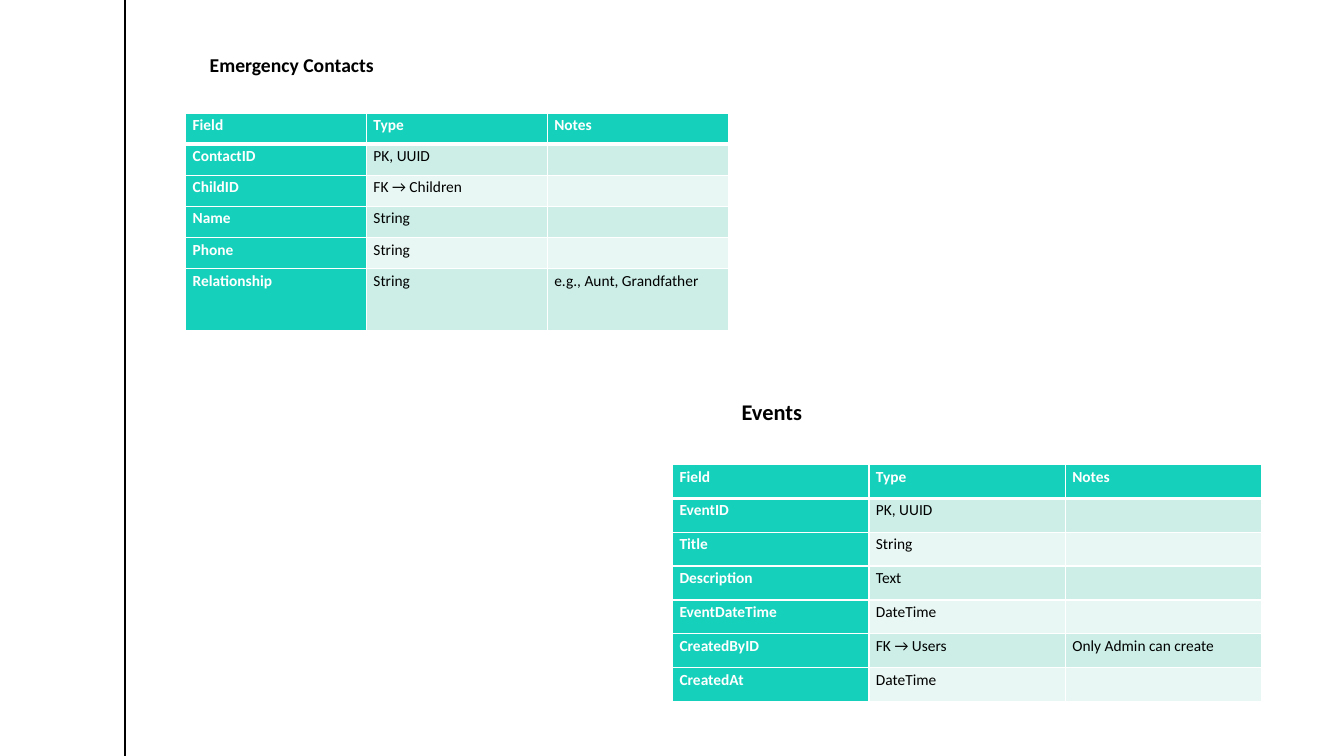
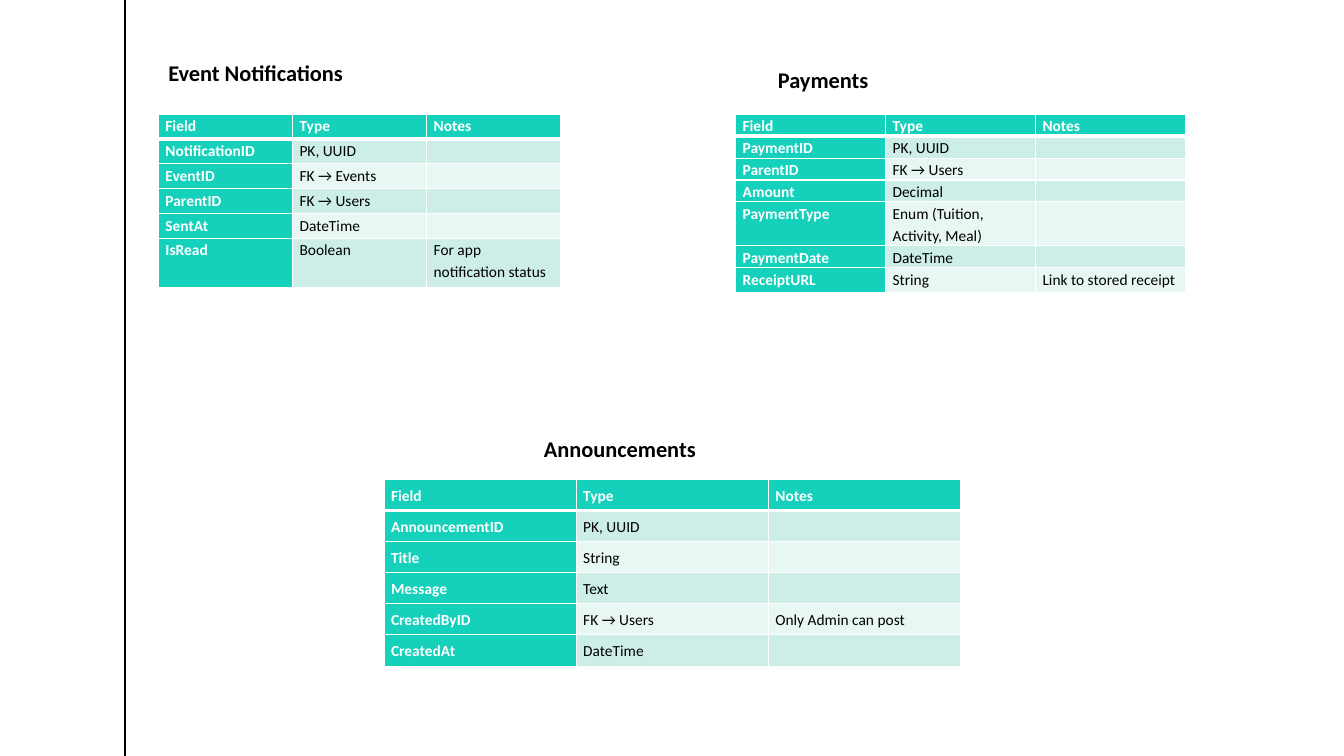
"""Build two slides of database table definitions."""
from dataclasses import dataclass

from lxml.etree import SubElement
from pptx import Presentation
from pptx.dml.color import RGBColor
from pptx.enum.shapes import MSO_CONNECTOR
from pptx.enum.text import MSO_ANCHOR, MSO_AUTO_SIZE, PP_ALIGN
from pptx.oxml.ns import qn
from pptx.oxml.xmlchemy import OxmlElement
from pptx.slide import Slide, SlideLayout
from pptx.text.text import Font
from pptx.util import Pt

COLORS = {
    "black": "000000",
    "white": "FFFFFF",
    "accent": "15D1BB",
    "band_dark": "CCEEE7",
    "band_light": "E8F7F3",
}
FONT_NAME = "Calibri"
CELL_SIZE = 11
HEADER = ("Field", "Type", "Notes")
RULE_LEFT = 89.3


@dataclass(frozen=True)
class Heading:
    text: str
    left: float
    top: float
    width: float
    height: float
    size: float = 16
    inset_top: float = 3.6
    inset_bottom: float = 3.6


@dataclass(frozen=True)
class GridStyle:
    line_spacing: float
    space_after: float
    inset: float
    border: float
    header_border: float


@dataclass(frozen=True)
class Entity:
    heading: Heading
    left: float
    top: float
    column_width: float
    row_heights: list[float]
    fields: list[tuple[str, str, str]]
    style: GridStyle


COMPACT = GridStyle(1.15, 10, 0, 1, 3)
PADDED = GridStyle(Pt(15), 0, 3.6, 0.75, 2.07)

SLIDES = [
    [
        Entity(
            Heading("Emergency Contacts", 142.6, 18.7, 175.7, 61.2, 14, 18, 24),
            132.6, 80.8, 129.2, [22.2] * 5 + [44.4],
            [
                ("ContactID", "PK, UUID", ""),
                ("ChildID", "FK → Children", ""),
                ("Name", "String", ""),
                ("Phone", "String", ""),
                ("Relationship", "String", "e.g., Aunt, Grandfather"),
            ],
            COMPACT,
        ),
        Entity(
            Heading("Events", 522.7, 265, 336.2, 63.4, 16, 18, 24),
            480.4, 331.8, 140.3, [24.2] * 7,
            [
                ("EventID", "PK, UUID", ""),
                ("Title", "String", ""),
                ("Description", "Text", ""),
                ("EventDateTime", "DateTime", ""),
                ("CreatedByID", "FK → Users", "Only Admin can create"),
                ("CreatedAt", "DateTime", ""),
            ],
            COMPACT,
        ),
    ],
    [
        Entity(
            Heading("Event Notifications", 113, 38.2, 277.9, 26.6),
            113.2, 81.7, 95.8, [17.7] * 5 + [35.4],
            [
                ("NotificationID", "PK, UUID", ""),
                ("EventID", "FK → Events", ""),
                ("ParentID", "FK → Users", ""),
                ("SentAt", "DateTime", ""),
                ("IsRead", "Boolean", "For app notification status"),
            ],
            COMPACT,
        ),
        Entity(
            Heading("Payments", 548.6, 43.6, 181.4, 26.6),
            525.5, 81.7, 107.1, [15.4] * 4 + [30.8, 15.4, 17.7],
            [
                ("PaymentID", "PK, UUID", ""),
                ("ParentID", "FK → Users", ""),
                ("Amount", "Decimal", ""),
                ("PaymentType", "Enum (Tuition, Activity, Meal)", ""),
                ("PaymentDate", "DateTime", ""),
                ("ReceiptURL", "String", "Link to stored receipt"),
            ],
            COMPACT,
        ),
        Entity(
            Heading("Announcements", 381.4, 306.7, 223.9, 27.4),
            274.3, 342.4, 137.3, [22.2] * 6,
            [
                ("AnnouncementID", "PK, UUID", ""),
                ("Title", "String", ""),
                ("Message", "Text", ""),
                ("CreatedByID", "FK → Users", "Only Admin can post"),
                ("CreatedAt", "DateTime", ""),
            ],
            PADDED,
        ),
    ],
]


def apply_format(target: object, values: dict[str, object]) -> None:
    """Set every attribute named in the dict."""
    for name, value in values.items():
        setattr(target, name, value)


def format_font(font: Font, size: float, color: str, bold: bool) -> None:
    """Give text the shared typeface."""
    apply_format(font, {"name": FONT_NAME, "size": Pt(size), "bold": bold})
    font.color.rgb = RGBColor.from_string(COLORS[color])


def add_layout_rule(slide: Slide, layout: SlideLayout, height: int) -> None:
    """Draw the vertical rule and move it to the shared layout."""
    rule = slide.shapes.add_connector(
        MSO_CONNECTOR.STRAIGHT, Pt(RULE_LEFT), 0, Pt(RULE_LEFT), height
    )
    rule.line.width = Pt(1)
    rule.line.color.rgb = RGBColor.from_string(COLORS["black"])
    rule.element.spPr.append(OxmlElement("a:effectLst"))
    rule.element.xpath(".//p:cNvPr")[0].set("id", "20")
    layout.shapes.element.append(rule.element)


def add_heading(slide: Slide, heading: Heading, is_title: bool) -> None:
    """Write a heading in the title placeholder or a text box."""
    box = {
        "left": Pt(heading.left),
        "top": Pt(heading.top),
        "width": Pt(heading.width),
        "height": Pt(heading.height),
    }
    shape = slide.shapes.title if is_title else slide.shapes.add_textbox(*box.values())
    apply_format(shape, box)
    apply_format(shape.text_frame, {
        "text": heading.text,
        "word_wrap": True,
        "auto_size": MSO_AUTO_SIZE.NONE,
        "vertical_anchor": MSO_ANCHOR.MIDDLE,
        "margin_left": Pt(7.2),
        "margin_right": Pt(7.2),
        "margin_top": Pt(heading.inset_top),
        "margin_bottom": Pt(heading.inset_bottom),
    })
    paragraph = shape.text_frame.paragraphs[0]
    paragraph.alignment = PP_ALIGN.LEFT
    format_font(paragraph.runs[0].font, heading.size, "black", True)


def add_borders(cell_element: OxmlElement, row: int, style: GridStyle) -> None:
    """Outline a cell in white, with a heavier line under the header."""
    properties = cell_element.get_or_add_tcPr()
    widths = {
        "a:lnL": style.border,
        "a:lnR": style.border,
        "a:lnT": style.header_border if row == 1 else style.border,
        "a:lnB": style.header_border if row == 0 else style.border,
    }
    for position, (tag, width) in enumerate(widths.items()):
        line = OxmlElement(tag)
        line.set("w", str(Pt(width)))
        fill = SubElement(line, qn("a:solidFill"))
        SubElement(fill, qn("a:srgbClr")).set("val", COLORS["white"])
        properties.insert(position, line)


def add_entity_table(slide: Slide, entity: Entity) -> None:
    """Draw the field list of one entity."""
    rows = [HEADER, *entity.fields]
    style = entity.style
    frame = slide.shapes.add_table(
        len(rows), len(HEADER), Pt(entity.left), Pt(entity.top),
        Pt(entity.column_width * len(HEADER)), Pt(sum(entity.row_heights)),
    )
    table = frame.table
    apply_format(table, {"first_col": True, "horz_banding": False})
    for column in table.columns:
        column.width = Pt(entity.column_width)
    for table_row, height in zip(table.rows, entity.row_heights):
        table_row.height = Pt(height)
    cell_elements = frame.element.xpath(".//a:tc")
    for index, (cell, cell_element) in enumerate(zip(table.iter_cells(), cell_elements)):
        row, column = divmod(index, len(HEADER))
        is_label = row == 0 or column == 0
        band = "band_dark" if row % 2 else "band_light"
        apply_format(cell, {
            "margin_left": Pt(5),
            "margin_right": Pt(5),
            "margin_top": Pt(style.inset),
            "margin_bottom": Pt(style.inset),
        })
        cell.fill.solid()
        cell.fill.fore_color.rgb = RGBColor.from_string(
            COLORS["accent" if is_label else band]
        )
        add_borders(cell_element, row, style)
        paragraph = cell.text_frame.paragraphs[0]
        apply_format(paragraph, {
            "line_spacing": style.line_spacing,
            "space_after": Pt(style.space_after),
        })
        if rows[row][column]:
            run = paragraph.add_run()
            run.text = rows[row][column]
            format_font(run.font, CELL_SIZE, "white" if is_label else "black", is_label)
        else:
            end = SubElement(cell_element.xpath(".//a:p")[0], qn("a:endParaRPr"))
            end.set("sz", str(CELL_SIZE * 100))


def main() -> None:
    """Create the presentation and save it."""
    presentation = Presentation()
    apply_format(presentation, {"slide_width": Pt(960), "slide_height": Pt(540)})
    layout = presentation.slide_layouts[5]
    for number, entities in enumerate(SLIDES):
        slide = presentation.slides.add_slide(layout)
        if number == 0:
            add_layout_rule(slide, layout, presentation.slide_height)
        for position, entity in enumerate(entities):
            add_heading(slide, entity.heading, position == 0)
            add_entity_table(slide, entity)
    presentation.save("out.pptx")


if __name__ == "__main__":
    main()
